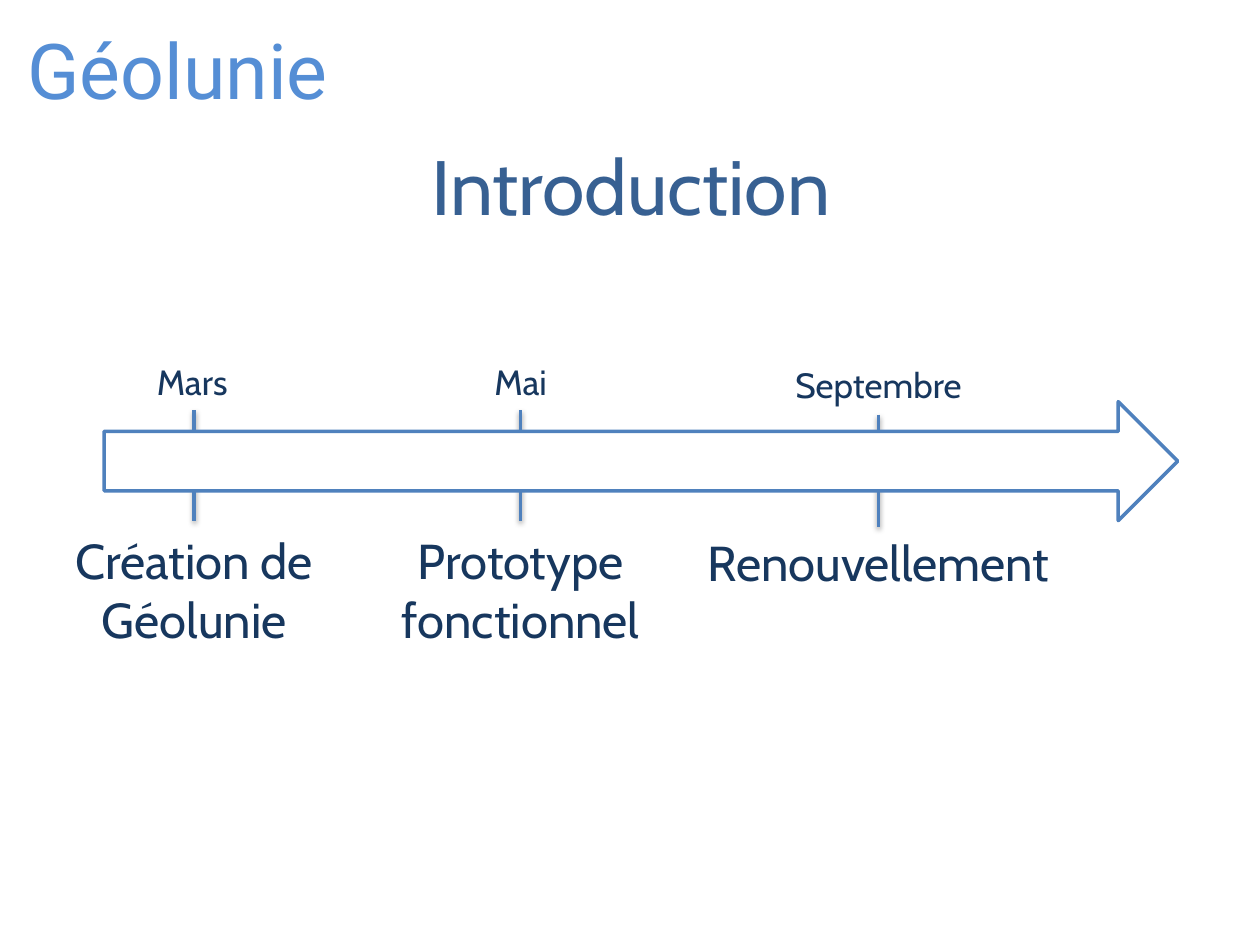
from lxml import etree
from pptx import Presentation
from pptx.dml.color import RGBColor
from pptx.enum import shapes, text
from pptx.oxml import ns
from pptx.util import Pt

WHITE = RGBColor(0xFF, 0xFF, 0xFF)
BLACK = RGBColor(0, 0, 0)
SKY = RGBColor(0x55, 0x8E, 0xD5)
STEEL = RGBColor(0x37, 0x60, 0x92)
BLUE = RGBColor(0x4F, 0x81, 0xBD)
NAVY = RGBColor(0x17, 0x37, 0x5E)

MID = text.PP_ALIGN.CENTER
LEFT = text.PP_ALIGN.LEFT
BRAND = "Géolunie"

EVENTS = [
    {"x": 111, "top": 234.5, "end": 297.5, "date": ("Mars", 57, 202.5, LEFT),
     "label": (f"Création de {BRAND}", 153.5, 299.5, 101)},
    {"x": 297.5, "top": 234.5, "end": 297.5, "date": ("Mai", 57, 202.5, MID),
     "label": ("Prototype fonctionnel", 171.5, 299.5, 101)},
    {"x": 502, "top": 237, "end": 301, "date": ("Septembre", 119, 204, MID),
     "label": ("Renouvellement", 214.5, 300.5, 37.5)},
]


def write(slide, box, words, size, color, align=MID, font="Cabin", gap=0):
    """Place one paragraph of text in a box and return its frame."""
    frame = slide.shapes.add_textbox(*map(Pt, box)).text_frame
    frame.word_wrap = True
    para = frame.paragraphs[0]
    para.text = words
    para.alignment = align
    para.space_before = Pt(gap)
    para.font.size = Pt(size)
    para.font.name = font
    para.font.color.rgb = color
    return frame


def shade(line):
    """Give a connector a soft shadow below it."""
    fx = etree.SubElement(line._element.spPr, ns.qn("a:effectLst"))
    drop = etree.SubElement(
        fx, ns.qn("a:outerShdw"), blurRad=str(Pt(3.1)), dist=str(Pt(1.6)),
        dir="5400000", rotWithShape="0")
    tint = etree.SubElement(drop, ns.qn("a:srgbClr"), val=str(BLACK))
    etree.SubElement(tint, ns.qn("a:alpha"), val="38000")


def header(slide, box):
    """Place the project name and the slide title."""
    left, top, width, _ = box
    write(slide, (left + 8.5, top + 9.5, 215, 60.5), BRAND, 44, SKY, LEFT, "Roboto")
    frame = write(slide, (left + 36.5, top + 60.5, width - 72, 90),
                  "Introduction", 44, STEEL)
    frame.vertical_anchor = text.MSO_ANCHOR.MIDDLE


def tick(slide, x, top, end):
    """Draw the mark of one event."""
    line = slide.shapes.add_connector(
        shapes.MSO_CONNECTOR.STRAIGHT, *map(Pt, (x, top, x, end)))
    line.line.color.rgb = BLUE
    line.line.width = Pt(2)
    shade(line)


def caption(slide, x, date, label):
    """Write the date above and the label below one event."""
    words, width, top, align = date
    write(slide, (x - width / 2, top, width, 33), words, 20, NAVY, align, gap=4)
    words, width, top, height = label
    write(slide, (x - width / 2, top, width, height), words, 28, NAVY, gap=5.6)


def timeline(slide, box):
    """Draw the marks, the arrow over them and the captions."""
    left, top = box[:2]
    for event in reversed(EVENTS):
        tick(slide, left + event["x"], top + event["top"] - 202.5,
             top + event["end"] - 202.5)
    arrow = slide.shapes.add_shape(
        shapes.MSO_SHAPE.RIGHT_ARROW,
        *map(Pt, (left + 59.5, top + 27, 613.5, 68)))
    arrow.shadow.inherit = False
    arrow.fill.solid()
    arrow.fill.fore_color.rgb = WHITE
    arrow.line.color.rgb = BLUE
    arrow.line.width = Pt(2)
    for event in EVENTS:
        date, label = (
            (*part[:2], top + part[2] - 202.5, part[3])
            for part in (event["date"], event["label"]))
        caption(slide, left + event["x"], date, label)


def main():
    """Build and save the slide."""
    deck = Presentation()
    deck.slide_width, deck.slide_height = Pt(720), Pt(540)
    slide = deck.slides.add_slide(deck.slide_layouts[6])
    header(slide, (0, 0, 720, 150))
    timeline(slide, (0, 202.5, 720, 198))
    deck.save("out.pptx")


if __name__ == "__main__":
    main()
